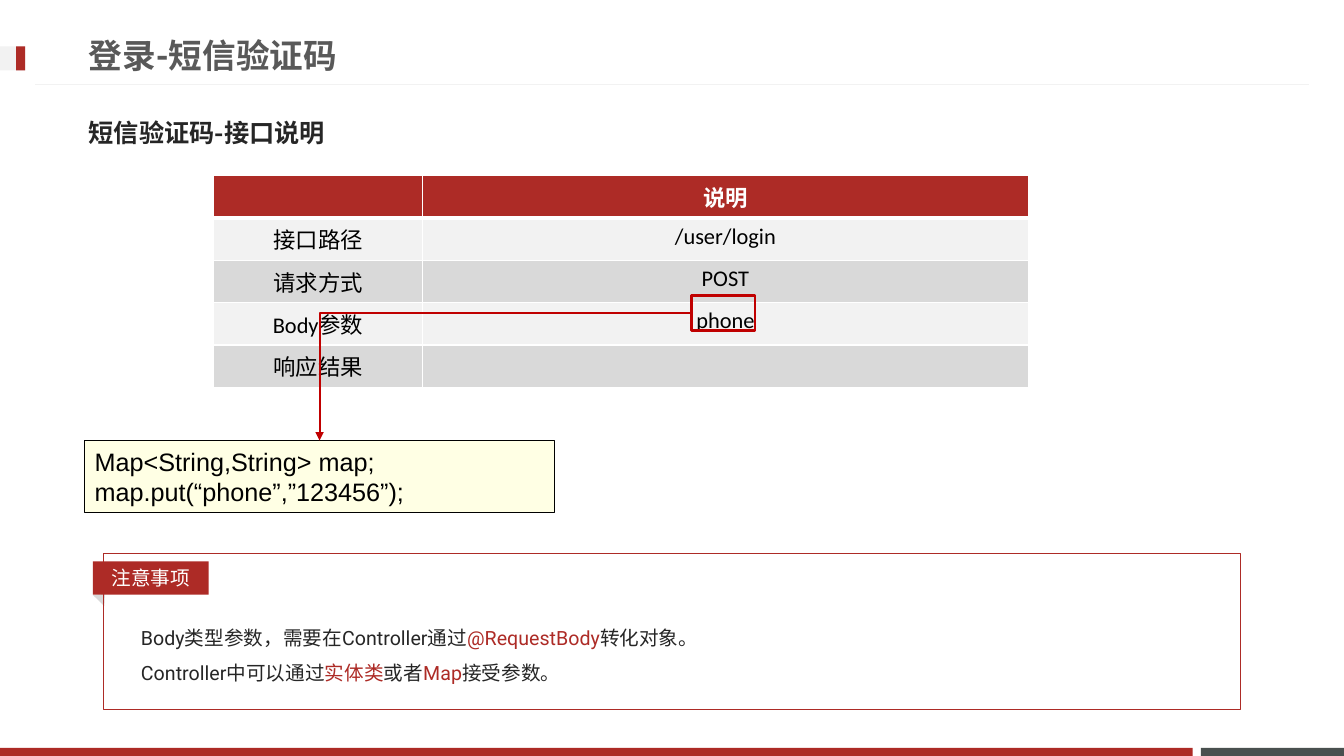
from dataclasses import dataclass

from lxml.etree import SubElement
from pptx import Presentation
from pptx.dml.color import RGBColor
from pptx.enum.shapes import MSO_CONNECTOR, MSO_SHAPE
from pptx.enum.text import MSO_ANCHOR, MSO_AUTO_SIZE, PP_ALIGN
from pptx.oxml.ns import qn
from pptx.slide import Slide
from pptx.util import Inches, Pt

RED, DARK_RED, INK = "AD2B26", "C00000", "262626"
PALE, GRAY, WHITE, BLACK = "F2F2F2", "D9D9D9", "FFFFFF", "000000"
CJK = "Noto Sans CJK JP"


def rgb(value):
    return RGBColor.from_string(value)


def write(frame, paragraphs, size=14, font="Roboto", color=INK, bold=False,
          align=PP_ALIGN.LEFT, anchor=MSO_ANCHOR.MIDDLE, spacing=None, plain=False):
    frame.word_wrap = True
    frame.auto_size = MSO_AUTO_SIZE.NONE
    frame.vertical_anchor = anchor
    for index, parts in enumerate(paragraphs):
        paragraph = frame.add_paragraph() if index else frame.paragraphs[0]
        if plain:
            properties = paragraph._p.get_or_add_pPr()
            properties.set("marL", "0")
            properties.set("indent", "0")
            SubElement(properties, qn("a:buNone"))
            paragraph.space_before = Pt(0)
        paragraph.alignment = align
        if spacing:
            paragraph.line_spacing = spacing
        for text, tint in parts:
            run = paragraph.add_run()
            run.text = text
            run.font.size = Pt(size)
            run.font.name = font
            run.font.bold = bold
            run.font.color.rgb = rgb(tint or color)
            run_properties = run._r.get_or_add_rPr()
            run_properties.set("lang", "zh-CN")
            SubElement(run_properties, qn("a:ea"), typeface=CJK)


@dataclass
class SlideBuilder:
    slide: Slide
    line_width: float = 0.75

    def placeholder(self, index, box, text, **style):
        holder = self.slide.placeholders[index]
        holder.left, holder.top, holder.width, holder.height = map(Inches, box)
        write(holder.text_frame, [[(text, None)]], bold=True, plain=True, **style)

    def shape(self, box, fill=None, line=None, width=None, kind=MSO_SHAPE.RECTANGLE):
        shape = self.slide.shapes.add_shape(kind, *map(Inches, box))
        shape.shadow.inherit = False
        if fill:
            shape.fill.solid()
            shape.fill.fore_color.rgb = rgb(fill)
        else:
            shape.fill.background()
        if line:
            shape.line.color.rgb = rgb(line)
            shape.line.width = Pt(width or self.line_width)
        else:
            shape.line.fill.background()
        return shape

    def text(self, box, paragraphs, **style):
        textbox = self.slide.shapes.add_textbox(*map(Inches, box))
        write(textbox.text_frame, paragraphs, anchor=MSO_ANCHOR.TOP, **style)

    def connector(self, kind, ends, color, width):
        connector = self.slide.shapes.add_connector(kind, *map(Inches, ends))
        connector.line.color.rgb = rgb(color)
        connector.line.width = Pt(width)
        SubElement(connector._element.spPr, qn("a:effectLst"))
        return connector

    def elbow_arrow(self, source, target, ends, color, width):
        arrow = self.connector(MSO_CONNECTOR.ELBOW, ends, color, width)
        arrow.begin_connect(source, 1)
        arrow.end_connect(target, 0)
        properties = arrow._element.spPr
        properties.find(qn("a:prstGeom")).set("prst", "bentConnector2")
        SubElement(properties.find(qn("a:ln")), qn("a:tailEnd"), type="triangle")

    def border(self, cell, side, width):
        line = SubElement(cell._tc.get_or_add_tcPr(), qn(f"a:ln{side}"), w=str(Pt(width)))
        SubElement(SubElement(line, qn("a:solidFill")), qn("a:srgbClr"), val=WHITE)

    def table(self, box, widths, heights, rows):
        grid = self.slide.shapes.add_table(len(rows), len(widths), *map(Inches, box)).table
        for column, width in zip(grid.columns, widths):
            column.width = Inches(width)
        for r, (height, texts) in enumerate(zip(heights, rows)):
            grid.rows[r].height = Inches(height)
            header = r == 0
            for c, text in enumerate(texts):
                cell = grid.cell(r, c)
                for side in "LRTB":
                    heavy = (r, side) in ((0, "B"), (1, "T"))
                    self.border(cell, side, 3 if heavy else 1)
                cell.fill.solid()
                cell.fill.fore_color.rgb = rgb(RED if header else PALE if r % 2 else GRAY)
                if text:
                    write(cell.text_frame, [[(text, None)]], size=16, font="Calibri",
                          color=WHITE if header else BLACK, bold=header,
                          align=PP_ALIGN.CENTER, anchor=MSO_ANCHOR.TOP)


presentation = Presentation()
presentation.slide_width, presentation.slide_height = Inches(13.33), Inches(7.5)
page = SlideBuilder(presentation.slides.add_slide(presentation.slide_layouts[1]))

page.shape((11.91, 7.42, 1.42, 0.08), "49504F")
page.shape((0, 7.42, 11.83, 0.08), RED)
page.connector(MSO_CONNECTOR.STRAIGHT, (12.98, 0.84, 0.35, 0.84), PALE, 0.75)
page.shape((0, 0.46, 0.25, 0.24), PALE)
page.shape((0.16, 0.46, 0.09, 0.24), RED)

page.placeholder(0, (0.78, 0.26, 9.59, 0.57), "登录-短信验证码", size=24, color="595959")
page.placeholder(1, (0.78, 1.03, 11.7, 0.57), "短信验证码-接口说明", size=18, font=CJK)

page.table((2.12, 1.74, 8.08, 1.96), (2.07, 6.01), [0.36] + [0.4] * 4, [
    ("", "说明"),
    ("接口路径", "/user/login"),
    ("请求方式", "POST"),
    ("Body参数", "phone"),
    ("响应结果", ""),
])

map_code = page.shape((0.84, 4.37, 4.66, 0.71), "FFFFE4", BLACK)
write(map_code.text_frame, [
    [("Map<String,String> map;", None)],
    [("map.put(“phone”,”123456”);", None)],
], size=18, font="Arial", color=BLACK)
phone_frame = page.shape((6.86, 2.93, 0.63, 0.35), line=DARK_RED, width=2)
page.elbow_arrow(phone_frame, map_code, (6.86, 3.11, 3.17, 4.37), DARK_RED, 1.5)

label_fold = page.shape((0.93, 5.88, 0.16, 0.09), GRAY, kind=MSO_SHAPE.ISOSCELES_TRIANGLE)
label_fold.rotation = 44.2
page.text((1.3, 6.04, 7.4, 0.77), [
    [("Body类型参数，需要在Controller通过", None), ("@RequestBody", RED), ("转化对象。", None)],
    [("Controller中可以通过", None), ("实体类", RED), ("或者", None), ("Map", RED),
     ("接受参数。", None)],
], spacing=1.5)
page.shape((1.03, 5.49, 11.27, 1.55), line=RED)
notice_label = page.shape((0.92, 5.57, 1.15, 0.33), RED)
write(notice_label.text_frame, [[("注意事项", None)]], color=WHITE, align=PP_ALIGN.CENTER)

presentation.save("out.pptx")
